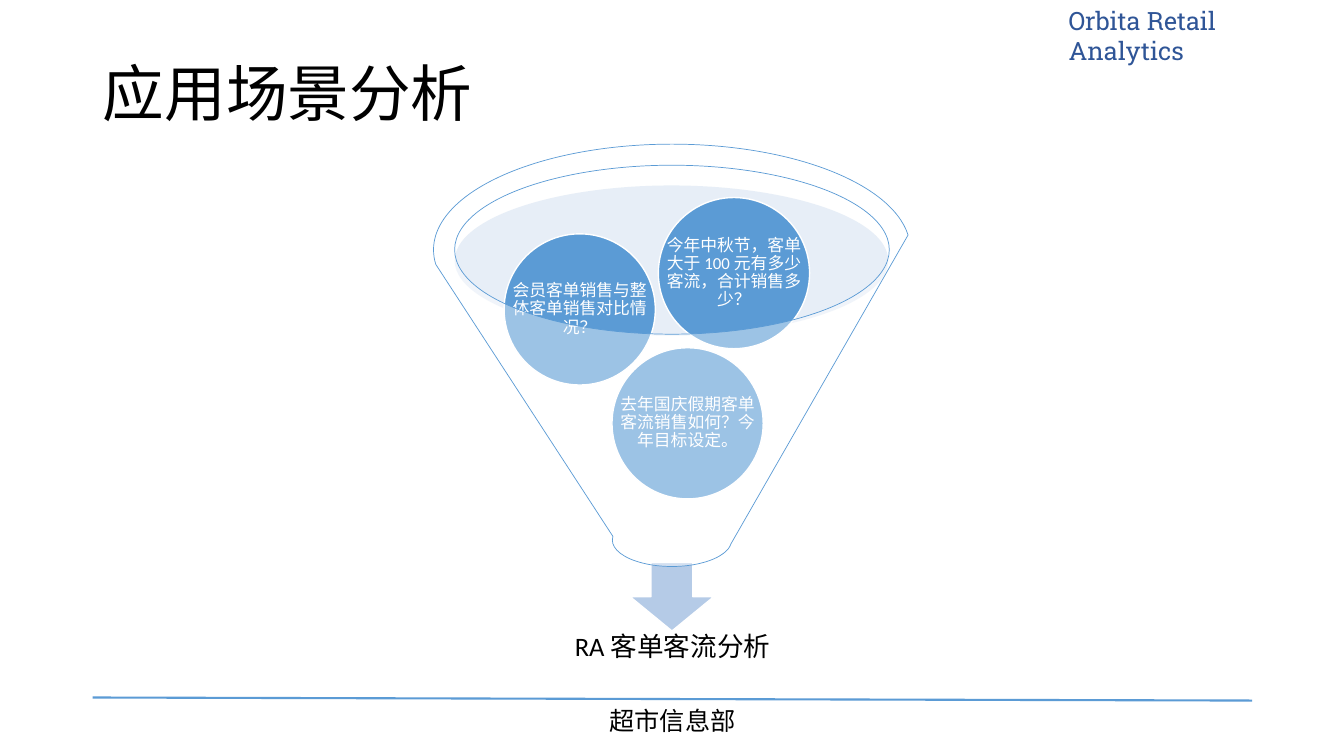
from dataclasses import dataclass

from lxml import etree
from pptx import Presentation
from pptx.dml.color import RGBColor
from pptx.enum.shapes import MSO_CONNECTOR, MSO_SHAPE
from pptx.enum.text import MSO_ANCHOR, MSO_AUTO_SIZE, PP_ALIGN
from pptx.oxml.ns import qn
from pptx.shapes.autoshape import Shape
from pptx.slide import Slide
from pptx.text.text import TextFrame
from pptx.util import Inches, Pt

LINE = MSO_CONNECTOR.STRAIGHT
OVAL = MSO_SHAPE.OVAL
ARROW = MSO_SHAPE.DOWN_ARROW
FUNNEL = MSO_SHAPE.FUNNEL
MIDDLE = MSO_ANCHOR.MIDDLE
TOP = MSO_ANCHOR.TOP
NO_FIT = MSO_AUTO_SIZE.NONE
LEFT = PP_ALIGN.LEFT
CENTER = PP_ALIGN.CENTER
TITLE_ONLY = 5


@dataclass(frozen=True)
class Theme:
    blue: str = "5B9BD5"
    navy: str = "2F5597"
    pale: str = "C4D5EB"
    arrow: str = "B5CBE7"
    white: str = "FFFFFF"
    black: str = "000000"
    main: str = "Calibri"
    slab: str = "Roboto Slab"
    cjk: str = "Noto Sans CJK SC"
    title: float = 44
    result: float = 19
    label: float = 18
    small: float = 12


@dataclass(frozen=True)
class Box:
    left: float
    top: float
    width: float
    height: float

    def sides(self) -> list[int]:
        return [Inches(v) for v in (self.left, self.top, self.width, self.height)]


@dataclass(frozen=True)
class Style:
    size: float
    color: str
    font: str
    align: PP_ALIGN = CENTER
    anchor: MSO_ANCHOR = MIDDLE
    spacing: float = 0.9


@dataclass(frozen=True)
class Ball:
    left: float
    top: float
    text: str


THEME = Theme()
BALL_SIZE = 1.5
BALLS = [
    Ball(6.07, 3.45, "去年国庆假期客单客流销售如何？今年目标设定。"),
    Ball(5, 2.32, "会员客单销售与整体客单销售对比情况？"),
    Ball(6.53, 1.96, "今年中秋节，客单大于100元有多少客流，合计销售多少？"),
]


def write(frame: TextFrame, text: str, style: Style) -> None:
    frame.text = text
    frame.word_wrap = True
    frame.auto_size = NO_FIT
    frame.vertical_anchor = style.anchor
    for para in frame.paragraphs:
        para.alignment = style.align
        para.line_spacing = style.spacing
        for run in para.runs:
            run.font.size = Pt(style.size)
            run.font.name = style.font
            run.font.color.rgb = RGBColor.from_string(style.color)


def add_text(slide: Slide, box: Box, text: str, style: Style,
             inset: float | None = None) -> None:
    frame = slide.shapes.add_textbox(*box.sides()).text_frame
    if inset is not None:
        frame.margin_left = frame.margin_right = Inches(inset)
        frame.margin_top = frame.margin_bottom = Inches(inset)
    write(frame, text, style)


def add_form(slide: Slide, kind: MSO_SHAPE, box: Box, fill: str,
             line: str | None = None, width: float = 1,
             alpha: int = 100) -> Shape:
    """Draw a preset shape; alpha is the opacity of its fill in percent."""
    form = slide.shapes.add_shape(kind, *box.sides())
    form.shadow.inherit = False
    form.fill.solid()
    form.fill.fore_color.rgb = RGBColor.from_string(fill)
    if alpha < 100:
        color = form._element.spPr.find(".//" + qn("a:srgbClr"))
        etree.SubElement(color, qn("a:alpha"), val=str(alpha * 1000))
    if line:
        form.line.color.rgb = RGBColor.from_string(line)
        form.line.width = Pt(width)
    else:
        form.line.fill.background()
    return form


def add_frame(slide: Slide) -> None:
    """Add the header, title, bottom rule and footer."""
    add_text(slide, Box(10.5, 0, 2.83, 0.4), "Orbita Retail Analytics",
             Style(THEME.label, THEME.navy, THEME.slab, LEFT, TOP, 1))
    rule = slide.shapes.add_connector(
        LINE, Inches(0.92), Inches(6.92), Inches(12.42), Inches(6.95))
    rule.line.color.rgb = RGBColor.from_string(THEME.blue)
    rule.line.width = Pt(1.5)
    etree.SubElement(rule._element.spPr, qn("a:effectLst"))
    add_text(slide, Box(5.6, 6.95, 2.14, 0.4), "超市信息部",
             Style(THEME.label, THEME.black, THEME.cjk, CENTER, TOP, 1))
    title = slide.shapes.title
    title.left, title.top, title.width, title.height = Box(
        0.92, 0.51, 11.5, 0.89).sides()
    write(title.text_frame, "应用场景分析",
          Style(THEME.title, THEME.black, THEME.main, LEFT))


def add_funnel(slide: Slide) -> None:
    add_form(slide, OVAL, Box(4.51, 1.84, 4.3, 1.49), THEME.pale, alpha=40)
    add_form(slide, ARROW, Box(6.25, 5.58, 0.83, 0.68), THEME.arrow, THEME.white)
    add_text(slide, Box(4.67, 6.11, 4, 0.63), "RA客单客流分析",
             Style(THEME.result, THEME.black, THEME.main), 0.15)
    for ball in BALLS:
        box = Box(ball.left, ball.top, BALL_SIZE, BALL_SIZE)
        add_form(slide, OVAL, box, THEME.blue, THEME.white)
        add_text(slide, box, ball.text,
                 Style(THEME.small, THEME.white, THEME.main), 0.02)
    add_form(slide, FUNNEL, Box(4.3, 1.43, 4.73, 4.19), THEME.white,
             THEME.blue, 0.5, 40)


def main() -> None:
    deck = Presentation()
    deck.slide_width, deck.slide_height = Inches(13.33), Inches(7.5)
    slide = deck.slides.add_slide(deck.slide_layouts[TITLE_ONLY])
    add_frame(slide)
    add_funnel(slide)
    deck.save("out.pptx")


if __name__ == "__main__":
    main()
